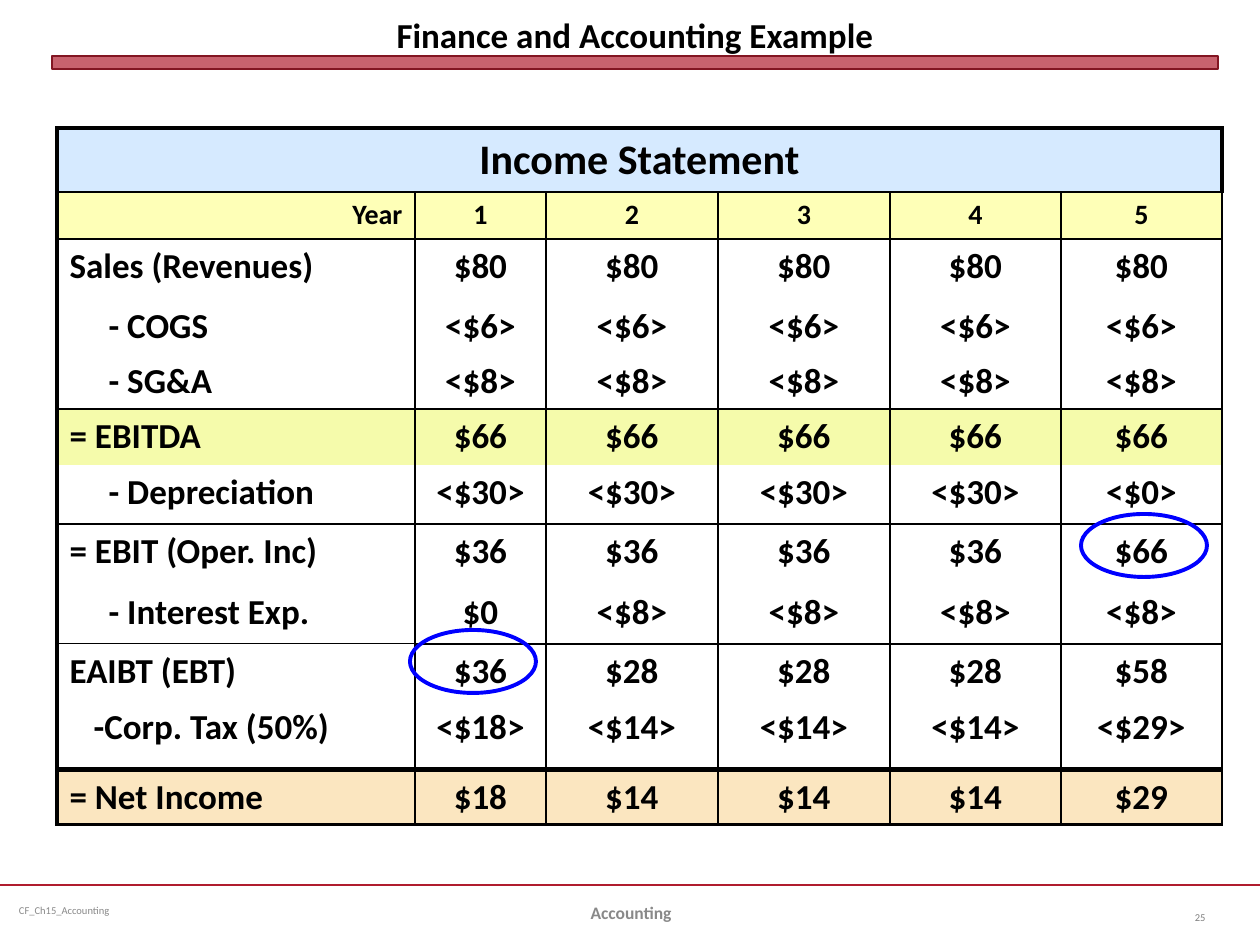
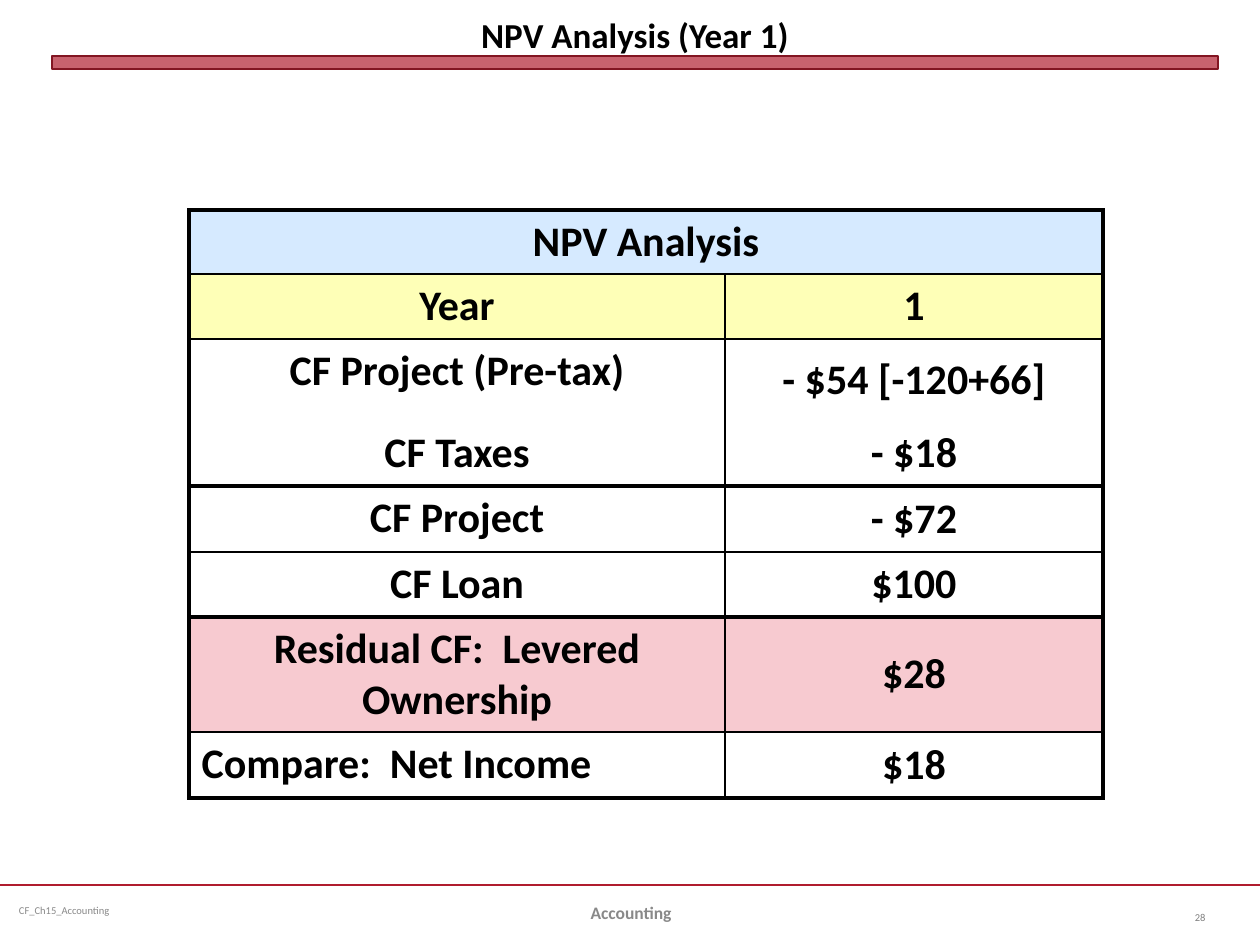
"""Build two accounting slides: an income statement and an NPV analysis."""
from lxml import etree
from pptx import Presentation
from pptx.dml.color import RGBColor
from pptx.enum.shapes import MSO_CONNECTOR, MSO_SHAPE
from pptx.enum.text import MSO_ANCHOR, MSO_AUTO_SIZE, PP_ALIGN
from pptx.oxml.ns import qn
from pptx.util import Pt

LEFT, CENTER, RIGHT = PP_ALIGN.LEFT, PP_ALIGN.CENTER, PP_ALIGN.RIGHT
TOP, MIDDLE, BOTTOM = MSO_ANCHOR.TOP, MSO_ANCHOR.MIDDLE, MSO_ANCHOR.BOTTOM
RECTANGLE, OVAL = MSO_SHAPE.RECTANGLE, MSO_SHAPE.OVAL
STRAIGHT = MSO_CONNECTOR.STRAIGHT
FIXED_SIZE = MSO_AUTO_SIZE.NONE

FONT = "Calibri"
PX_PER_INCH = 126
SLIDE_WIDTH, SLIDE_HEIGHT = 1260, 945
COLORS = {
    "ink": "000000", "crimson": "B01C2E", "maroon": "821522",
    "footer": "898989", "page": "808080", "highlight": "0000FF",
    "heading": "D6EAFF", "years": "FEFFB7", "ebitda": "F5FBAB",
    "net": "FBE6C0", "residual": "F7CAD0",
}
# Rule weights in points: label column, then figure columns
RULES = {"none": (0, 0), "thin": (1, 1), "step": (1, 1.5),
         "heavy": (3, 3), "edge": (2.25, 2.25)}
EDGE, INNER = 2.25, 1

TITLE_BOX = (52, 6, 1166, 50)
BAND_BOX = (52, 56, 1166, 13)
FOOTER_LINE_Y = 885
FOOTERS = [
    ("CF_Ch15_Accounting", (10, 885, 325, 50),
     dict(size=6, color="footer", margins=(9, 5, 9, 5))),
    ("Accounting", (431, 888, 400, 50),
     dict(size=10, color="footer", bold=True, align=CENTER)),
]
PAGE_BOX = (1155, 892, 63, 50)


def line(label, figures, height, rule="none", fill=None, **label_format):
    """Describe one table row; a single figure string fills every year."""
    return dict(label=label, figures=figures, height=height, rule=rule,
                fill=fill, label_format=label_format)


INCOME_STATEMENT = dict(
    title="Finance and Accounting Example", page="25",
    heading="Income Statement", heading_height=64, at=(57, 128),
    columns=[358, 131, 172, 172, 171, 161], right_edge=INNER,
    size=20, label_align=LEFT, figure_anchor=TOP,
    rows=[
        line("Year", ["1", "2", "3", "4", "5"], 47, "thin", "years",
             size=16, align=RIGHT),
        line("Sales (Revenues)", ["$80"] * 5, 60),
        line("- COGS", ["<$6>"] * 5, 55, indent=39),
        line("- SG&A", ["<$8>"] * 5, 55, "step", indent=39),
        line("= EBITDA", ["$66"] * 5, 56, fill="ebitda"),
        line("- Depreciation", ["<$30>"] * 4 + ["<$0>"], 59, "step", indent=39),
        line("= EBIT (Oper. Inc)", ["$36"] * 4 + ["$66"], 61),
        line("- Interest Exp.", ["$0"] + ["<$8>"] * 4, 59, "step", indent=39),
        line("EAIBT (EBT)", ["$36"] + ["$28"] * 3 + ["$58"], 56),
        line("-Corp. Tax (50%)", ["<$18>"] + ["<$14>"] * 3 + ["<$29>"], 70,
             "heavy", indent=24),
        line("= Net Income", ["$18"] + ["$14"] * 3 + ["$29"], 55, "edge", "net"),
    ],
    circles=[(1081, 514), (410, 630)],
)
NPV_ANALYSIS = dict(
    title="NPV Analysis (Year 1)", page="28",
    heading="NPV Analysis", heading_height=64, at=(189, 210),
    columns=[536, 378], right_edge=EDGE,
    size=24, label_align=CENTER, figure_anchor=MIDDLE,
    rows=[
        line("Year", ["1"], 65, "thin", "years"),
        line("CF Project (Pre-tax)", ["- $54 [-120+66]"], 82),
        line("CF Taxes", ["- $18"], 65, "heavy"),
        line("CF Project", ["- $72"], 66, "thin"),
        line("CF Loan", ["$100"], 65, "heavy"),
        line("Residual CF:  Levered Ownership", ["$28"], 115, "thin", "residual"),
        line("Compare:  Net Income", ["$18"], 66, "edge", align=LEFT),
    ],
    circles=[],
)
CIRCLE_SIZE = (126, 63)


def px(*lengths):
    """Turn px lengths into EMU."""
    return [round(length * 914400 / PX_PER_INCH) for length in lengths]


def rgb(name):
    """Look up a colour by name."""
    return RGBColor.from_string(COLORS[name])


def write(frame, text, size=20, color="ink", bold=False, align=LEFT,
          indent=0, anchor=None, margins=None):
    """Put one formatted paragraph into a text frame."""
    frame.word_wrap = True
    if anchor is not None:
        frame.vertical_anchor = anchor
    if margins:
        (frame.margin_left, frame.margin_top,
         frame.margin_right, frame.margin_bottom) = px(*margins)
    paragraph = frame.paragraphs[0]
    paragraph.alignment = align
    if indent:
        paragraph._p.get_or_add_pPr().set("marL", str(px(indent)[0]))
    run = paragraph.add_run()
    run.text = text
    font = run.font
    font.name, font.size, font.bold = FONT, Pt(size), bold
    font.color.rgb = rgb(color)


def add_outline(slide, kind, box, color, weight):
    """Add an unfilled preset shape with a coloured outline."""
    shape = slide.shapes.add_shape(kind, *px(*box))
    shape.shadow.inherit = False
    shape.fill.background()
    shape.line.color.rgb = rgb(color)
    shape.line.width = Pt(weight)
    return shape


def add_footer(slide, text, box, **text_format):
    """Add one footer text."""
    frame = slide.shapes.add_textbox(*px(*box)).text_frame
    write(frame, text, anchor=MIDDLE, **text_format)


def add_frame(slide, title, page):
    """Add the title, band, footer line and footers that all slides share."""
    heading = slide.shapes.title
    heading.left, heading.top, heading.width, heading.height = px(*TITLE_BOX)
    heading.text_frame.auto_size = FIXED_SIZE
    write(heading.text_frame, title, bold=True, align=CENTER,
          anchor=BOTTOM, margins=(0, 0, 0, 0))

    band = add_outline(slide, RECTANGLE, BAND_BOX, "maroon", 0)
    band.fill.solid()
    band.fill.fore_color.rgb = rgb("crimson")
    tint = band._element.spPr.find(qn("a:solidFill"))[0]
    etree.SubElement(tint, qn("a:alpha"), val="69000")

    rule = slide.shapes.add_connector(
        STRAIGHT, *px(0, FOOTER_LINE_Y, SLIDE_WIDTH, FOOTER_LINE_Y))
    rule.line.color.rgb = rgb("crimson")
    rule.line.width = Pt(1.25)
    etree.SubElement(rule._element.spPr, qn("a:effectLst"))

    for text, box, text_format in FOOTERS:
        add_footer(slide, text, box, **text_format)
    add_footer(slide, page, PAGE_BOX, size=6, color="page", align=RIGHT)


def style_cell(cell, fill, left, right, top, bottom):
    """Set the borders of a cell in points, then its fill."""
    properties = cell._tc.get_or_add_tcPr()
    for side, weight in zip("LRTB", (left, right, top, bottom)):
        border = etree.SubElement(properties, qn(f"a:ln{side}"), w=str(Pt(weight)))
        if weight:
            paint = etree.SubElement(border, qn("a:solidFill"))
            etree.SubElement(paint, qn("a:srgbClr"), val=COLORS["ink"])
        else:
            etree.SubElement(border, qn("a:noFill"))
    if fill:
        cell.fill.solid()
        cell.fill.fore_color.rgb = rgb(fill)
    else:
        cell.fill.background()


def add_statement(slide, statement):
    """Add the financial table of a slide."""
    columns, rows = statement["columns"], statement["rows"]
    heights = [statement["heading_height"]] + [row["height"] for row in rows]
    last = len(columns) - 1
    table = slide.shapes.add_table(
        len(heights), len(columns),
        *px(*statement["at"], sum(columns), sum(heights))).table
    for column, width in zip(table.columns, px(*columns)):
        column.width = width
    for table_row, height in zip(table.rows, px(*heights)):
        table_row.height = height

    heading = table.cell(0, 0)
    heading.merge(table.cell(0, last))
    for cell in table.rows[0].cells:
        style_cell(cell, "heading", EDGE, EDGE, EDGE, INNER)
    write(heading.text_frame, statement["heading"], size=24, bold=True, align=CENTER)

    above = "thin"
    for r, row in enumerate(rows, 1):
        row_size = row["label_format"].get("size", statement["size"])
        for c, text in enumerate([row["label"], *row["figures"]]):
            cell = table.cell(r, c)
            is_figure = c > 0
            style_cell(cell, row["fill"],
                       INNER if is_figure else EDGE,
                       statement["right_edge"] if c == last else INNER,
                       RULES[above][is_figure], RULES[row["rule"]][is_figure])
            text_format = dict(size=row_size, bold=True, align=CENTER)
            if is_figure:
                in_body = row["fill"] != "years"
                cell.vertical_anchor = statement["figure_anchor"] if in_body else TOP
            else:
                text_format["align"] = statement["label_align"]
                text_format.update(row["label_format"])
            write(cell.text_frame, text, **text_format)
        above = row["rule"]


def main():
    """Build and save the slides."""
    deck = Presentation()
    deck.slide_width, deck.slide_height = px(SLIDE_WIDTH, SLIDE_HEIGHT)
    title_only = deck.slide_layouts[5]
    for statement in (INCOME_STATEMENT, NPV_ANALYSIS):
        slide = deck.slides.add_slide(title_only)
        add_frame(slide, statement["title"], statement["page"])
        add_statement(slide, statement)
        for corner in statement["circles"]:
            add_outline(slide, OVAL, (*corner, *CIRCLE_SIZE), "highlight", 2.25)
    deck.save("out.pptx")


if __name__ == "__main__":
    main()
